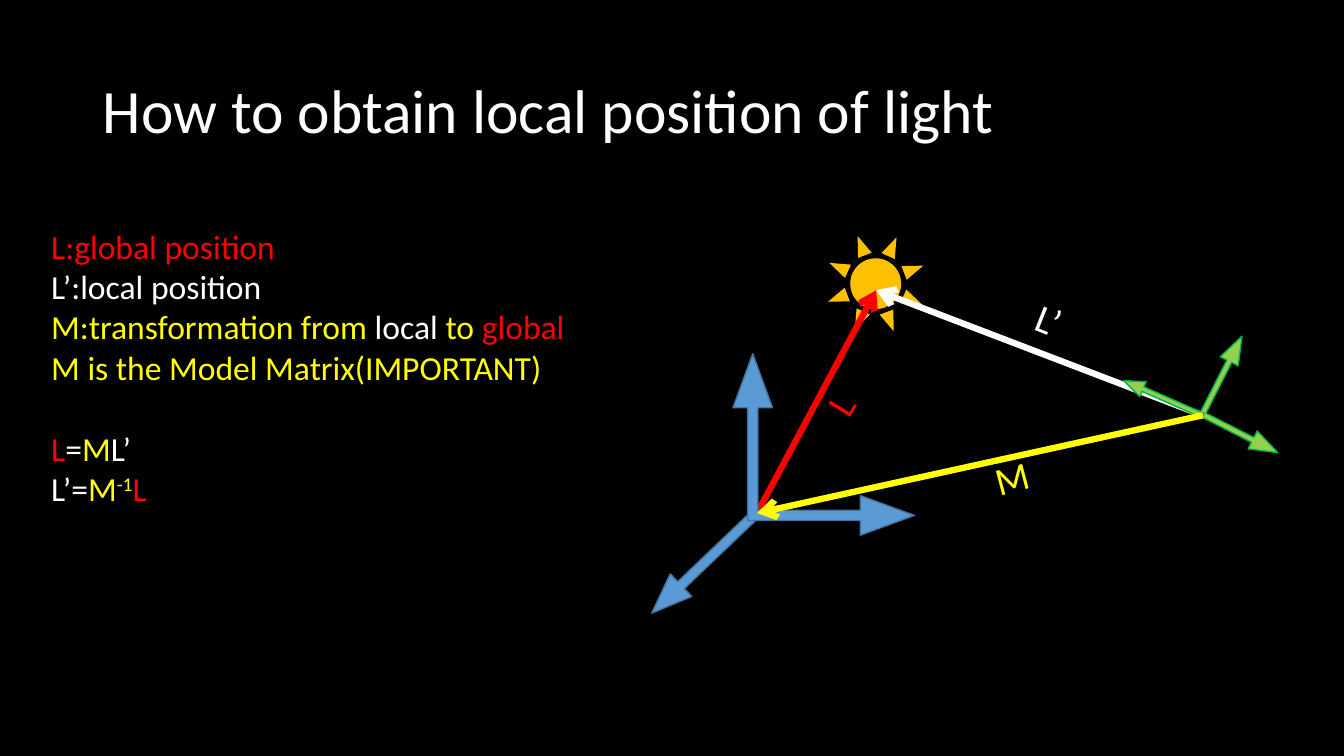
from dataclasses import dataclass

from lxml import etree
from pptx import Presentation
from pptx.dml.color import RGBColor
from pptx.enum.shapes import MSO_CONNECTOR, MSO_SHAPE
from pptx.enum.text import MSO_ANCHOR, MSO_AUTO_SIZE, PP_ALIGN
from pptx.oxml.ns import qn
from pptx.util import Inches, Pt


@dataclass(frozen=True)
class Theme:
    font: str = "Calibri"
    title_size: int = 44
    label_size: int = 28
    body_size: int = 24
    black: str = "000000"
    white: str = "FFFFFF"
    red: str = "FF0000"
    yellow: str = "FFFF00"
    sun: str = "FFC000"
    blue: str = "5B9BD5"
    blue_edge: str = "43739E"
    green: str = "92D050"
    green_edge: str = "00B050"


theme = Theme()


def style_font(font, size, color):
    font.name = theme.font
    font.size = Pt(size)
    font.color.rgb = RGBColor.from_string(color)


def add_vector(page, start, end, color):
    """Draw a thick line with an arrowhead at its end."""
    line = page.shapes.add_connector(
        MSO_CONNECTOR.STRAIGHT, *(Inches(value) for value in start + end))
    line.line.color.rgb = RGBColor.from_string(color)
    line.line.width = Pt(4.5)
    etree.SubElement(line.line._get_or_add_ln(), qn("a:tailEnd"), type="arrow")
    etree.SubElement(line.element.spPr, qn("a:effectLst"))


deck = Presentation()
deck.slide_width, deck.slide_height = Inches(13.33), Inches(7.5)
page = deck.slides.add_slide(deck.slide_layouts[5])
page.background.fill.solid()
page.background.fill.fore_color.rgb = RGBColor.from_string(theme.black)

# Title
title = page.shapes.title
title.left, title.top = Inches(0.92), Inches(0.4)
title.width, title.height = Inches(11.5), Inches(1.45)
title.text_frame.text = "How to obtain local position of light"
title.text_frame.vertical_anchor = MSO_ANCHOR.MIDDLE
para = title.text_frame.paragraphs[0]
para.alignment = PP_ALIGN.LEFT
para.line_spacing = 0.9
style_font(para.runs[0].font, theme.title_size, theme.white)

# Light source and the two vectors that reach it
light, world_origin, model_origin = (8.69, 2.88), (7.51, 5.09), (11.93, 4.12)
sun = page.shapes.add_shape(
    MSO_SHAPE.SUN, Inches(8.18), Inches(2.31), Inches(1.01), Inches(1.01))
sun.rotation = 24.2
sun.shadow.inherit = False
sun.fill.solid()
sun.fill.fore_color.rgb = RGBColor.from_string(theme.sun)
sun.line.fill.background()
add_vector(page, model_origin, light, theme.white)
add_vector(page, world_origin, light, theme.red)

# Axes: a bent double arrow and a single arrow per coordinate system
single, double = MSO_SHAPE.UP_ARROW, MSO_SHAPE.LEFT_UP_ARROW
axes = [
    (single, (6.84, 4.84, 0.31, 1.47), 226.3, (0.308, 1.299), theme.blue, theme.blue_edge),
    (double, (7.27, 3.51, 1.8, 1.8), 0, (0.057, 0.109, 0.298), theme.blue, theme.blue_edge),
    (double, (11.96, 3.45, 0.94, 0.97), 26.9, (0.057, 0.106, 0.298), theme.green, theme.green_edge),
    (single, (11.46, 3.52, 0.16, 0.86), 293.8, (0.308, 1.299), theme.green, theme.green_edge),
]
for kind, place, angle, adjustments, fill, edge in axes:
    axis = page.shapes.add_shape(kind, *(Inches(value) for value in place))
    axis.rotation = angle
    axis.shadow.inherit = False
    for index, value in enumerate(adjustments):
        axis.adjustments[index] = value
    if kind == double:
        axis.element.spPr.find(qn("a:xfrm")).set("flipH", "1")
    axis.fill.solid()
    axis.fill.fore_color.rgb = RGBColor.from_string(fill)
    axis.line.color.rgb = RGBColor.from_string(edge)
    axis.line.width = Pt(1)

add_vector(page, model_origin, world_origin, theme.yellow)

# Vector labels
labels = [
    ("L’", 10.19, 2.89, 0.45, 21.8, theme.white),
    ("L", 8.15, 3.72, 0.37, 301.4, theme.red),
    ("M", 9.77, 4.45, 0.54, 345.1, theme.yellow),
]
for text, left, top, width, angle, color in labels:
    label = page.shapes.add_textbox(Inches(left), Inches(top), Inches(width), Inches(0.57))
    label.rotation = angle
    label.text_frame.word_wrap = False
    label.text_frame.auto_size = MSO_AUTO_SIZE.SHAPE_TO_FIT_TEXT
    label.text_frame.text = text
    style_font(label.text_frame.paragraphs[0].runs[0].font, theme.label_size, color)

# Explanation
explanation = [
    [("L:global position", theme.red)],
    [("L’:local position", theme.white)],
    [("M:transformation from ", theme.yellow), ("local", theme.white),
     (" to ", theme.yellow), ("global", theme.red)],
    [("M is the Model Matrix(IMPORTANT)", theme.yellow)],
    [("L", theme.red), ("=", theme.white), ("M", theme.yellow), ("L’", theme.white)],
    [("L’=", theme.white), ("M", theme.yellow), ("-1", theme.yellow), ("L", theme.red)],
]
first_equation = 4
box = page.shapes.add_textbox(Inches(0.41), Inches(2.19), Inches(6.63), Inches(3.33))
frame = box.text_frame
frame.word_wrap = True
for index, pieces in enumerate(explanation):
    para = frame.add_paragraph() if index else frame.paragraphs[0]
    if index == first_equation:
        para.space_before = Pt(29)
    for text, color in pieces:
        span = para.add_run()
        span.text = text
        style_font(span.font, theme.body_size, color)
        if text == "-1":
            span.font._element.set("baseline", "30000")

deck.save("out.pptx")
